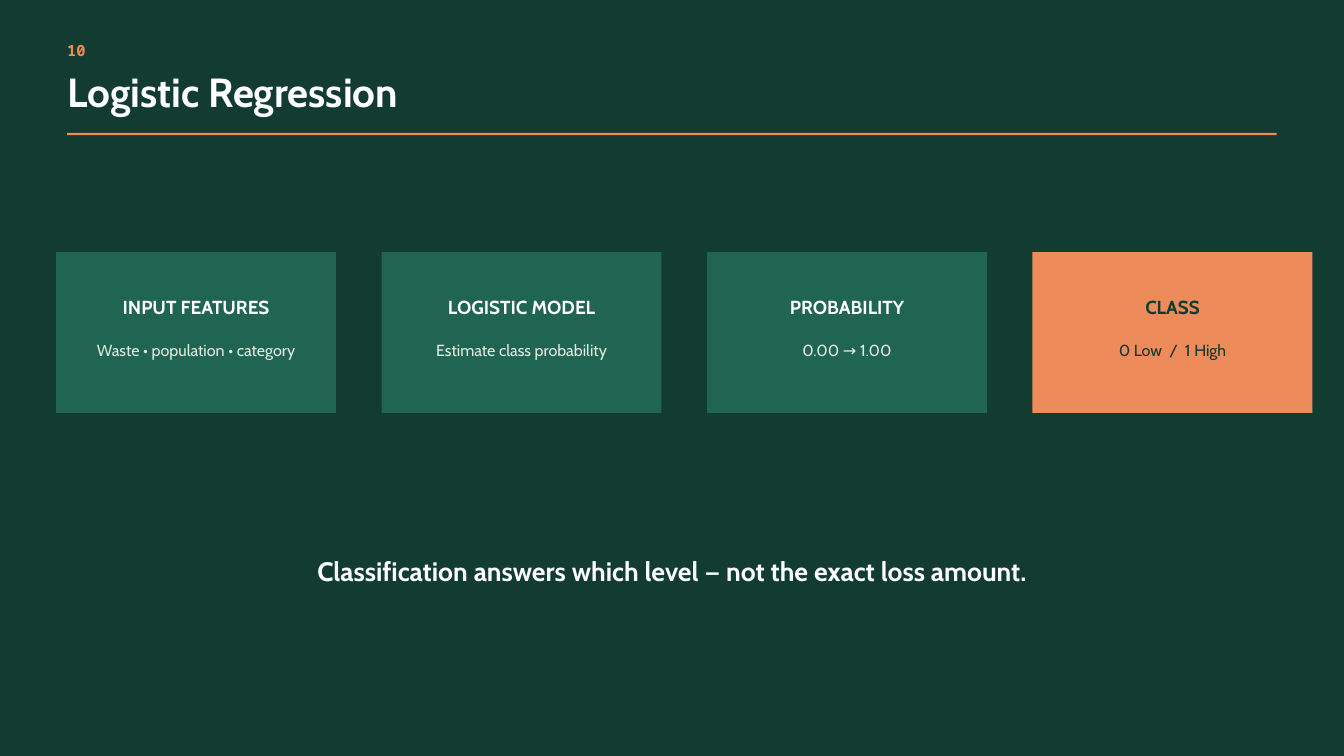
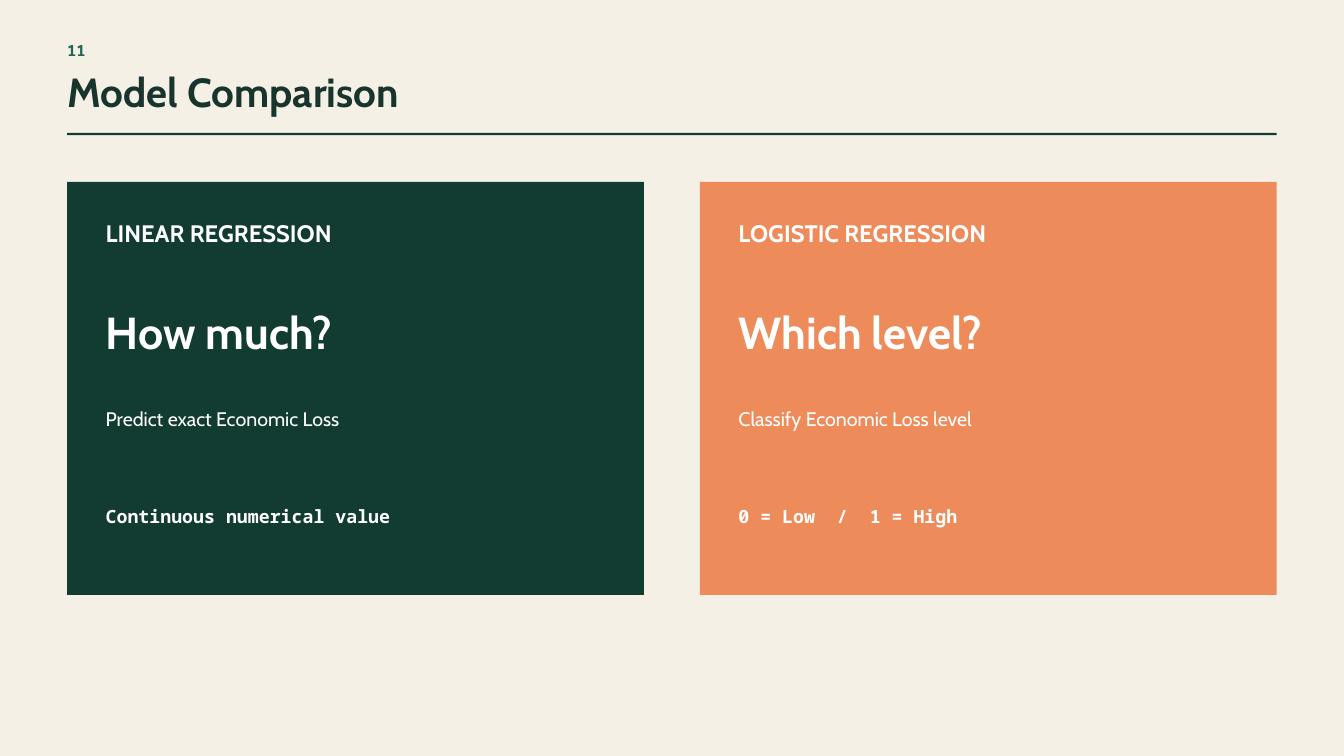
"""Build two slides on logistic regression and how it compares with linear regression."""
from dataclasses import dataclass

from pptx import Presentation
from pptx.dml.color import RGBColor
from pptx.enum.shapes import MSO_SHAPE
from pptx.enum.text import MSO_AUTO_SIZE, PP_ALIGN
from pptx.presentation import Presentation as Deck
from pptx.slide import Slide
from pptx.util import Pt

RECTANGLE = MSO_SHAPE.RECTANGLE
GROW = MSO_AUTO_SIZE.SHAPE_TO_FIT_TEXT
LEFT, CENTER = PP_ALIGN.LEFT, PP_ALIGN.CENTER

COLORS = {
    "forest": "123C32",
    "green": "1F6552",
    "orange": "ED8B5A",
    "cream": "F5F0E6",
    "ink": "17342D",
    "mist": "E5EADF",
    "white": "FFFFFF",
}
SANS, MONO = "Cabin", "Noto Sans Mono"

PAGE_WIDTH, PAGE_HEIGHT = 1440, 810
MARGIN = 72
CONTENT_WIDTH = PAGE_WIDTH - 2 * MARGIN

STEP_LEFT, STEP_TOP, STEP_WIDTH, STEP_HEIGHT = 60, 270, 300, 172.5
STEP_PITCH, STEP_INSET = 348.75, 18.75

PANEL_TOP, PANEL_WIDTH, PANEL_HEIGHT = 195, 618, 442.5
PANEL_PITCH = CONTENT_WIDTH - PANEL_WIDTH
PANEL_INSET, PANEL_TEXT_WIDTH = 41.25, 487.5


@dataclass(frozen=True)
class Style:
    size: float
    line: float
    height: float
    font: str = SANS
    bold: bool = True
    align: PP_ALIGN = LEFT


@dataclass(frozen=True)
class Theme:
    background: str
    number: str
    title: str
    rule: str


@dataclass(frozen=True)
class Step:
    heading: str
    detail: str
    fill: str = "green"
    heading_color: str = "white"
    detail_color: str = "mist"


@dataclass(frozen=True)
class Panel:
    fill: str
    lines: tuple[str, ...]


NUMBER = Style(16.5, 23.1, 21.75, MONO)
TITLE = Style(43.5, 47, 48)
STEP_HEADING = Style(20.2, 28.4, 26, align=CENTER)
STEP_DETAIL = Style(17.2, 24.1, 23, bold=False, align=CENTER)
TAKEAWAY = Style(28.5, 39.9, 38.25, align=CENTER)
PANEL_ROWS = (
    (229.75, Style(25.5, 35.7, 33)),
    (316.75, Style(48, 67.2, 62.5)),
    (432.5, Style(21, 28.4, 26.5, bold=False)),
    (537.5, Style(19.5, 27.3, 25.5, MONO)),
)

DARK = Theme("forest", "orange", "white", "orange")
LIGHT = Theme("cream", "green", "ink", "forest")

STEPS = (
    Step("INPUT FEATURES", "Waste • population • category"),
    Step("LOGISTIC MODEL", "Estimate class probability"),
    Step("PROBABILITY", "0.00 → 1.00"),
    Step("CLASS", "0 Low  /  1 High", "orange", "forest", "ink"),
)
PANELS = (
    Panel("forest", ("LINEAR REGRESSION", "How much?",
                     "Predict exact Economic Loss", "Continuous numerical value")),
    Panel("orange", ("LOGISTIC REGRESSION", "Which level?",
                     "Classify Economic Loss level", "0 = Low  /  1 = High")),
)


def rgb(name: str) -> RGBColor:
    return RGBColor.from_string(COLORS[name])


def add_block(page: Slide, left: float, top: float, width: float, height: float,
              fill: str) -> None:
    block = page.shapes.add_shape(RECTANGLE, Pt(left), Pt(top), Pt(width), Pt(height))
    block.shadow.inherit = False
    block.fill.solid()
    block.fill.fore_color.rgb = rgb(fill)
    block.line.fill.background()


def add_text(page: Slide, left: float, top: float, width: float, text: str,
             style: Style, color: str) -> None:
    box = page.shapes.add_textbox(Pt(left), Pt(top), Pt(width), Pt(style.height))
    frame = box.text_frame
    frame.margin_left = frame.margin_right = frame.margin_top = frame.margin_bottom = 0
    frame.word_wrap = True
    frame.auto_size = GROW
    frame.text = text
    para = frame.paragraphs[0]
    para.alignment = style.align
    para.line_spacing = Pt(style.line)
    span = para.runs[0]
    span.font.name = style.font
    span.font.size = Pt(style.size)
    span.font.bold = style.bold
    span.font.color.rgb = rgb(color)


def add_page(deck: Deck, theme: Theme, number: str, title: str) -> Slide:
    page = deck.slides.add_slide(deck.slide_layouts[6])
    page.background.fill.solid()
    page.background.fill.fore_color.rgb = rgb(theme.background)
    add_text(page, MARGIN, 41.25, 52.5, number, NUMBER, theme.number)
    add_text(page, MARGIN, 77.25, 1125, title, TITLE, theme.title)
    add_block(page, MARGIN, 142.5, CONTENT_WIDTH, 2.25, theme.rule)
    return page


def add_step(page: Slide, index: int, step: Step) -> None:
    left = STEP_LEFT + index * STEP_PITCH
    text_left, text_width = left + STEP_INSET, STEP_WIDTH - 2 * STEP_INSET
    add_block(page, left, STEP_TOP, STEP_WIDTH, STEP_HEIGHT, step.fill)
    add_text(page, text_left, 312.5, text_width, step.heading, STEP_HEADING,
             step.heading_color)
    add_text(page, text_left, 361.5, text_width, step.detail, STEP_DETAIL,
             step.detail_color)


def add_panel(page: Slide, index: int, panel: Panel) -> None:
    left = MARGIN + index * PANEL_PITCH
    add_block(page, left, PANEL_TOP, PANEL_WIDTH, PANEL_HEIGHT, panel.fill)
    for (top, style), line in zip(PANEL_ROWS, panel.lines):
        add_text(page, left + PANEL_INSET, top, PANEL_TEXT_WIDTH, line, style, "white")


def main() -> None:
    deck = Presentation()
    deck.slide_width, deck.slide_height = Pt(PAGE_WIDTH), Pt(PAGE_HEIGHT)

    regression = add_page(deck, DARK, "10", "Logistic Regression")
    for index, step in enumerate(STEPS):
        add_step(regression, index, step)
    add_text(regression, 247.5, 589, 945,
             "Classification answers which level — not the exact loss amount.",
             TAKEAWAY, "white")

    comparison = add_page(deck, LIGHT, "11", "Model Comparison")
    for index, panel in enumerate(PANELS):
        add_panel(comparison, index, panel)

    deck.save("out.pptx")


if __name__ == "__main__":
    main()
